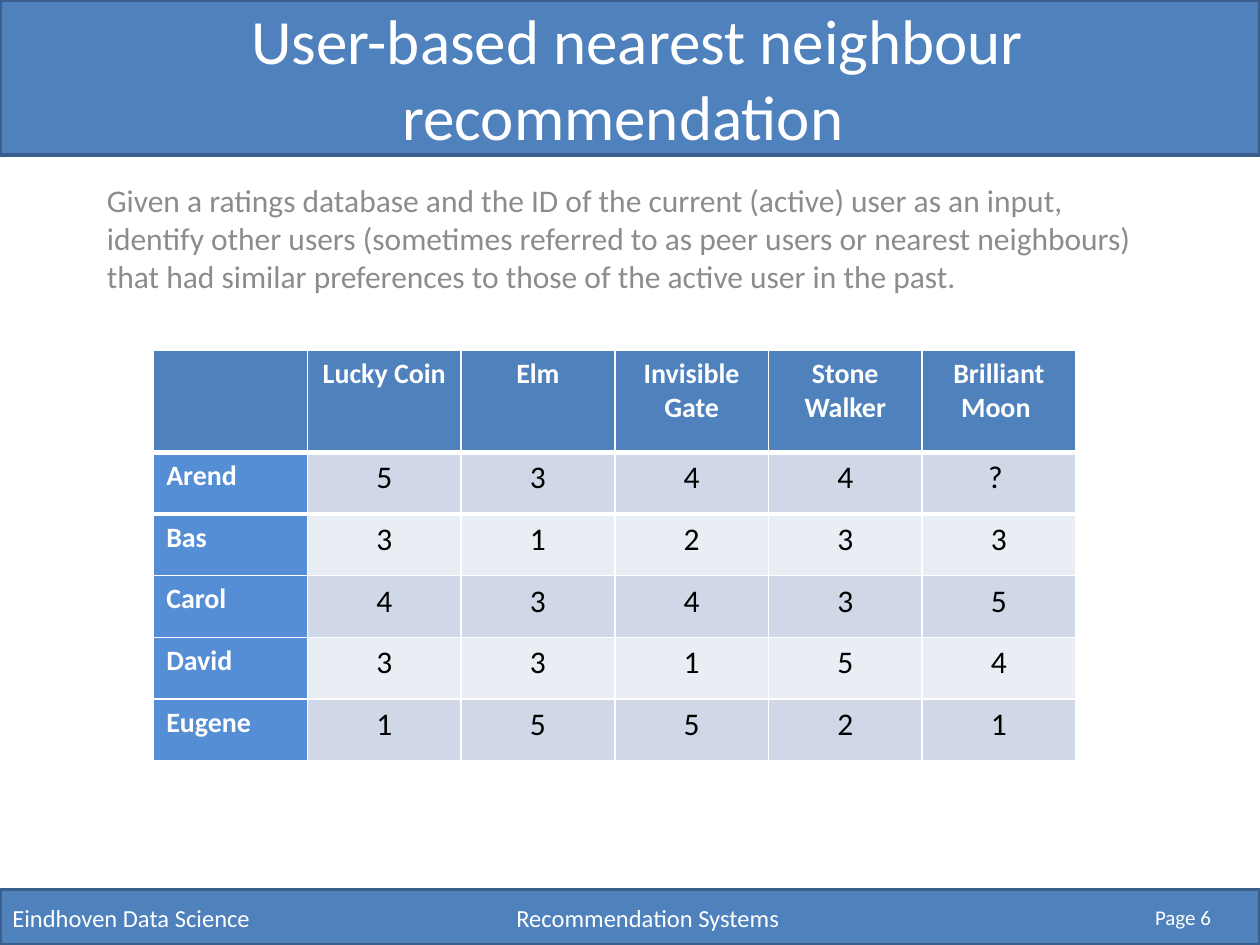
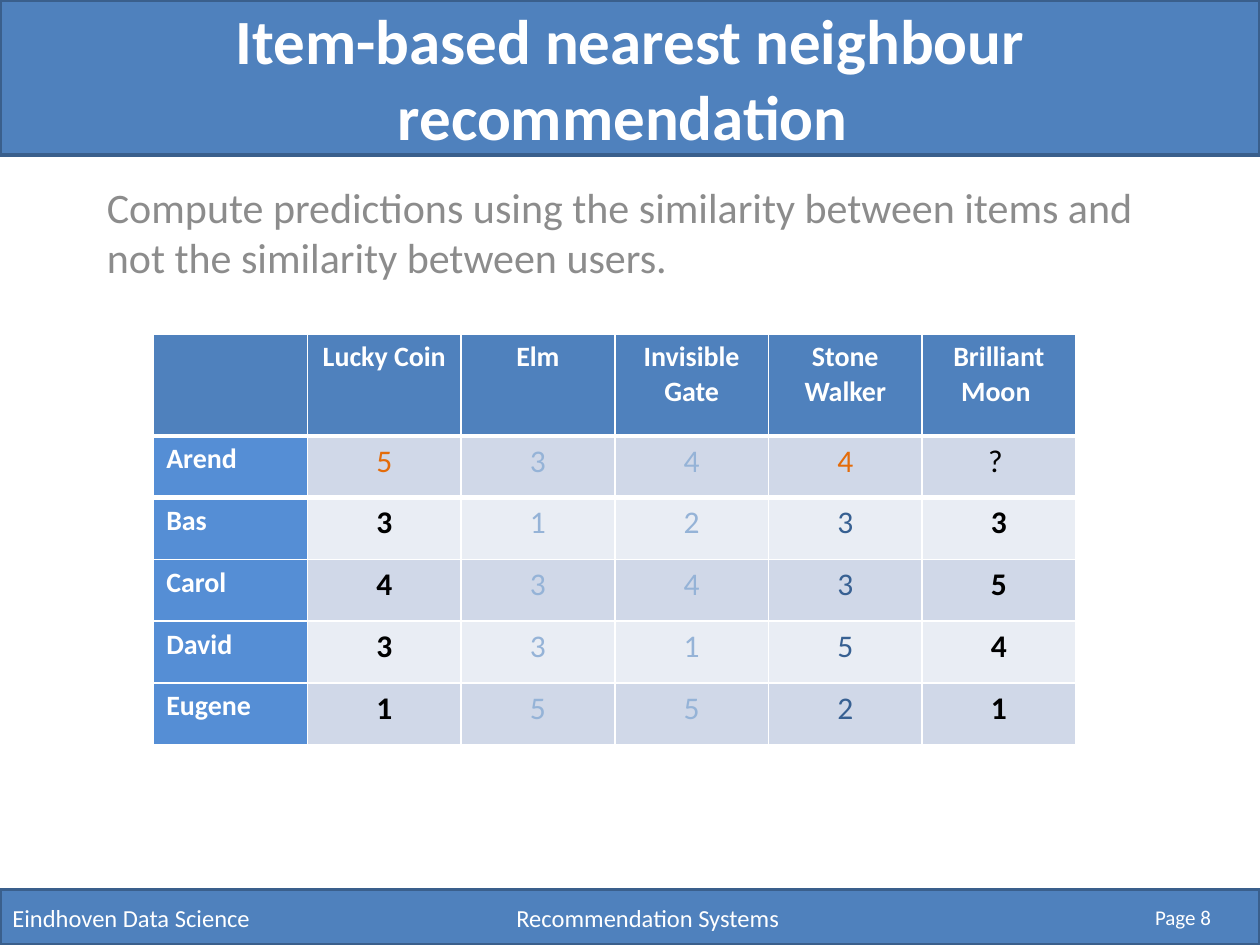
from pptx import Presentation
from pptx.dml.color import RGBColor
from pptx.enum import shapes, text
from pptx.oxml import parse_xml
from pptx.oxml.ns import nsdecls
from pptx.util import Inches, Pt

FONT = "Calibri"
WHITE = RGBColor(0xFF, 0xFF, 0xFF)
BLACK = RGBColor(0, 0, 0)
GREY = RGBColor(0x8C, 0x8C, 0x8C)
BAND_BLUE = RGBColor(0x4F, 0x81, 0xBD)
BAND_EDGE = RGBColor(0x3A, 0x5F, 0x8C)
NAME_BLUE = RGBColor(0x55, 0x8E, 0xD5)
ROW_FILLS = (RGBColor(0xD0, 0xD8, 0xE8), RGBColor(0xE9, 0xED, 0xF4))
ORANGE = RGBColor(0xE4, 0x6C, 0x0A)
PALE_BLUE = RGBColor(0x95, 0xB3, 0xD7)
DARK_BLUE = RGBColor(0x37, 0x60, 0x92)

LEFT, CENTER, RIGHT = text.PP_ALIGN.LEFT, text.PP_ALIGN.CENTER, text.PP_ALIGN.RIGHT
TOP, MIDDLE = text.MSO_ANCHOR.TOP, text.MSO_ANCHOR.MIDDLE

MOVIES = ("Lucky Coin", "Elm", "Invisible Gate", "Stone Walker", "Brilliant Moon ")
RATINGS = {
    "Arend": ("5", "3", "4", "4", "? "),
    "Bas": ("3", "1", "2", "3", "3"),
    "Carol": ("4", "3", "4", "3", "5"),
    "David": ("3", "3", "1", "5", "4"),
    "Eugene": ("1", "5", "5", "2", "1"),
}
PLAIN = {"color": BLACK}
STRONG = {"color": BLACK, "bold": True}
PALE = {"color": PALE_BLUE}
ACTIVE = {"color": ORANGE}
DARK = {"color": DARK_BLUE}


def user_based_format(user, column):
    return PLAIN


def item_based_format(user, column):
    if user == "Arend":
        return (ACTIVE, PALE, PALE, ACTIVE, PLAIN)[column]
    return (STRONG, PALE, PALE, DARK, STRONG)[column]


def write_text(frame, content, size=18, color=WHITE, bold=False, align=LEFT, anchor=TOP):
    frame.word_wrap = True
    frame.vertical_anchor = anchor
    paragraph = frame.paragraphs[0]
    paragraph.alignment = align
    run = paragraph.add_run()
    run.text = content
    run.font.name = FONT
    run.font.size = Pt(size)
    run.font.bold = bold
    run.font.color.rgb = color
    return paragraph


class RatingsDeck:
    def __init__(self):
        self.presentation = Presentation()
        self.presentation.slide_width = Inches(10)
        self.presentation.slide_height = Inches(7.5)
        self.slide = None

    def add_slide(self, title, page, bold_title=False):
        self.slide = self.presentation.slides.add_slide(self.presentation.slide_layouts[5])
        self.add_band(0, 1.23)
        self.add_footer(page)
        self.place_title(title, bold_title)

    def add_band(self, top, height):
        band = self.slide.shapes.add_shape(
            shapes.MSO_SHAPE.RECTANGLE, 0, Inches(top), Inches(10), Inches(height))
        band.shadow.inherit = False
        band.fill.solid()
        band.fill.fore_color.rgb = BAND_BLUE
        band.line.color.rgb = BAND_EDGE
        band.line.width = Pt(2)
        return band

    def add_footer(self, page):
        band = self.add_band(7.06, 0.44)
        paragraph = write_text(band.text_frame, "Eindhoven Data Science\tRecommendation Systems",
                               size=14, anchor=MIDDLE)
        paragraph._p.get_or_add_pPr().append(parse_xml(
            f'<a:tabLst {nsdecls("a")}><a:tab pos="{Inches(4)}" algn="l"/></a:tabLst>'))
        self.add_text(f"Page {page}", 8.95, 7.08, 0.76, 0.4,
                      size=12, align=RIGHT, anchor=MIDDLE)

    def place_title(self, content, bold):
        title = self.slide.shapes.title
        title.left, title.top = Inches(0.75), Inches(0.34)
        title.width, title.height = Inches(8.5), Inches(0.55)
        title.text_frame.auto_size = text.MSO_AUTO_SIZE.NONE
        write_text(title.text_frame, content, size=36, bold=bold, align=CENTER, anchor=MIDDLE)
        self.slide.shapes._spTree.append(title._element)

    def add_text(self, content, left, top, width, height, **style):
        box = self.slide.shapes.add_textbox(
            Inches(left), Inches(top), Inches(width), Inches(height))
        write_text(box.text_frame, content, **style)

    def add_explanation(self, content, size):
        self.add_text(content, 0.75, 1.39, 8.5, 5.51, size=size, color=GREY)

    def fill_cell(self, cell, fill, content="", **style):
        cell.fill.solid()
        cell.fill.fore_color.rgb = fill
        if content:
            write_text(cell.text_frame, content, **style)

    def add_cell_border(self, cell, side, width):
        cell._tc.get_or_add_tcPr().insert(0, parse_xml(
            f'<a:ln{side} {nsdecls("a")} w="{Pt(width)}"><a:solidFill>'
            f'<a:srgbClr val="{WHITE}"/></a:solidFill></a:ln{side}>'))

    def add_ratings(self, top, rating_format):
        table = self.slide.shapes.add_table(
            len(RATINGS) + 1, len(MOVIES) + 1,
            Inches(1.22), Inches(top), Inches(7.32), Inches(3.26)).table
        for column in table.columns:
            column.width = Inches(1.22)
        for index, row in enumerate(table.rows):
            row.height = Inches(0.49 if index else 0.81)
        for index, movie in enumerate(("",) + MOVIES):
            self.fill_cell(table.cell(0, index), BAND_BLUE, movie,
                           size=16, bold=True, align=CENTER)
            self.add_cell_border(table.cell(0, index), "B", 3)
            self.add_cell_border(table.cell(1, index), "T", 3)
        for index, (user, ratings) in enumerate(RATINGS.items()):
            self.fill_cell(table.cell(index + 1, 0), NAME_BLUE, user, size=16, bold=True)
            for column, rating in enumerate(ratings):
                self.fill_cell(table.cell(index + 1, column + 1), ROW_FILLS[index % 2], rating,
                               align=CENTER, **rating_format(user, column))


def main():
    deck = RatingsDeck()
    deck.add_slide(" User-based nearest neighbour recommendation ", 6)
    deck.add_explanation(
        "Given a ratings database and the ID of the current (active) user as an input, "
        "identify other users (sometimes referred to as peer users or nearest neighbours) "
        "that had similar preferences to those of the active user in the past.", 18)
    deck.add_ratings(2.78, user_based_format)

    deck.add_slide("Item-based nearest neighbour recommendation ", 8, bold_title=True)
    deck.add_explanation(
        "Compute predictions using the similarity between items and "
        "not the similarity between users.", 24)
    deck.add_ratings(2.65, item_based_format)
    deck.presentation.save("out.pptx")


if __name__ == "__main__":
    main()
